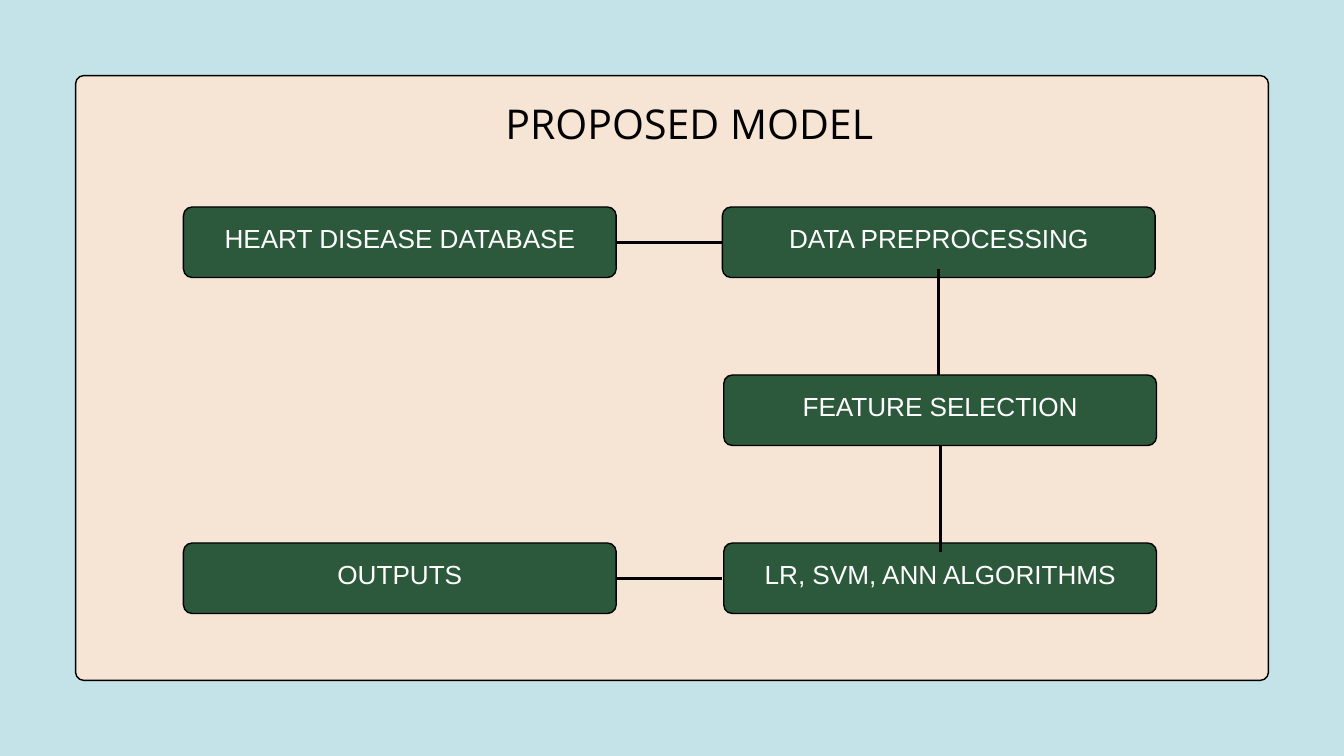
from dataclasses import dataclass

from lxml.etree import SubElement
from pptx import Presentation
from pptx.dml.color import RGBColor
from pptx.enum.shapes import MSO_CONNECTOR as CONNECTOR, MSO_SHAPE as SHAPE
from pptx.enum.text import MSO_ANCHOR as ANCHOR, MSO_AUTO_SIZE as AUTO_SIZE, PP_ALIGN as ALIGN
from pptx.oxml.ns import qn
from pptx.util import Inches, Pt

WIDTH, HEIGHT = 20, 11.25
MARGIN = 1.125
SKY, SAND, GREEN, BLACK, WHITE = "C4E3E8", "F6E4D5", "2C593B", "000000", "FFFFFF"

# Grid of steps: two columns, three rows
LEFT, TOP = 2.73, 3.08
COL_STEP, ROW_STEP = 8.04, 2.5
BOX_W, BOX_H = 6.44, 1.05
GAP_X, GAP_Y = COL_STEP - BOX_W, ROW_STEP - BOX_H
OVERLAP = 0.13


@dataclass
class Step:
    text: str
    col: int
    row: int
    shift: float = 0

    @property
    def x(self) -> float:
        return LEFT + self.col * COL_STEP + self.shift

    @property
    def y(self) -> float:
        return TOP + self.row * ROW_STEP


@dataclass
class Link:
    x: float
    y: float
    dx: float = 0
    dy: float = 0


def rgb(color: str) -> RGBColor:
    return RGBColor.from_string(color)


def write(tf, text: str, font: str, size: float, color: str, spacing: float) -> None:
    tf.text = text
    p = tf.paragraphs[0]
    p.alignment = ALIGN.CENTER
    p.line_spacing = Pt(spacing)
    r = p.runs[0]
    r.font.name, r.font.size = font, Pt(size)
    r.font.color.rgb = rgb(color)


def set_insets(tf, left: float, top: float, right: float, bottom: float) -> None:
    tf.margin_left, tf.margin_top = Inches(left), Inches(top)
    tf.margin_right, tf.margin_bottom = Inches(right), Inches(bottom)


def add_card(s, x: float, y: float, w: float, h: float, fill: str, radius: float):
    sp = s.shapes.add_shape(SHAPE.ROUNDED_RECTANGLE, *map(Inches, (x, y, w, h)))
    sp.adjustments[0] = radius / min(w, h)
    sp.shadow.inherit = False
    sp.fill.solid()
    sp.fill.fore_color.rgb = rgb(fill)
    sp.line.color.rgb = rgb(BLACK)
    sp.line.width = Pt(1.5)
    return sp


def add_step(s, step: Step) -> None:
    tf = add_card(s, step.x, step.y, BOX_W, BOX_H, GREEN, 0.13).text_frame
    tf.word_wrap = True
    tf.vertical_anchor = ANCHOR.MIDDLE
    set_insets(tf, 0.25, 0.13, 0.25, 0.28)
    write(tf, step.text, "Arial", 28, WHITE, 36.4)


def add_link(s, link: Link) -> None:
    ends = (link.x, link.y, link.x + link.dx, link.y + link.dy)
    line = s.shapes.add_connector(CONNECTOR.STRAIGHT, *map(Inches, ends))
    line.line.color.rgb = rgb(BLACK)
    line.line.width = Pt(3)
    SubElement(line._element.spPr, qn("a:effectLst"))


def add_title(s, text: str) -> None:
    title = s.shapes.title
    title.left, title.top = Inches(3.79), Inches(1.46)
    title.width, title.height = Inches(12.94), Inches(0.74)
    tf = title.text_frame
    tf.word_wrap = True
    tf.auto_size = AUTO_SIZE.NONE
    tf.vertical_anchor = ANCHOR.TOP
    set_insets(tf, 0, 0, 0, 0)
    write(tf, text, "Open Sans", 44, BLACK, 52.8)


def main() -> None:
    prs = Presentation()
    prs.slide_width, prs.slide_height = Inches(WIDTH), Inches(HEIGHT)
    s = prs.slides.add_slide(prs.slide_layouts[5])
    s.background.fill.solid()
    s.background.fill.fore_color.rgb = rgb(SKY)

    # Panel, sent behind the title
    panel = add_card(s, MARGIN, MARGIN, WIDTH - 2 * MARGIN, HEIGHT - 2 * MARGIN, SAND, 0.12)
    s.shapes._spTree.insert(2, panel._element)
    add_title(s, "PROPOSED MODEL")

    # Steps of the model
    database = Step("HEART DISEASE DATABASE", 0, 0)
    outputs = Step("OUTPUTS", 0, 2)
    preprocessing = Step("DATA PREPROCESSING", 1, 0, shift=-0.02)
    selection = Step("FEATURE SELECTION", 1, 1)
    algorithms = Step("LR, SVM, ANN ALGORITHMS", 1, 2)
    for step in (database, outputs, preprocessing, selection, algorithms):
        add_step(s, step)

    # Links between the steps; the vertical ones overlap a box
    across, down = GAP_X - 0.02, GAP_Y + OVERLAP
    mid_x, mid_y = BOX_W / 2, BOX_H / 2
    for link in (
        Link(database.x + BOX_W, database.y + mid_y, dx=across),
        Link(preprocessing.x + mid_x, preprocessing.y + BOX_H - OVERLAP, dy=down),
        Link(selection.x + mid_x, selection.y + BOX_H, dy=down),
        Link(outputs.x + BOX_W, outputs.y + mid_y, dx=across),
    ):
        add_link(s, link)

    prs.save("out.pptx")


if __name__ == "__main__":
    main()
